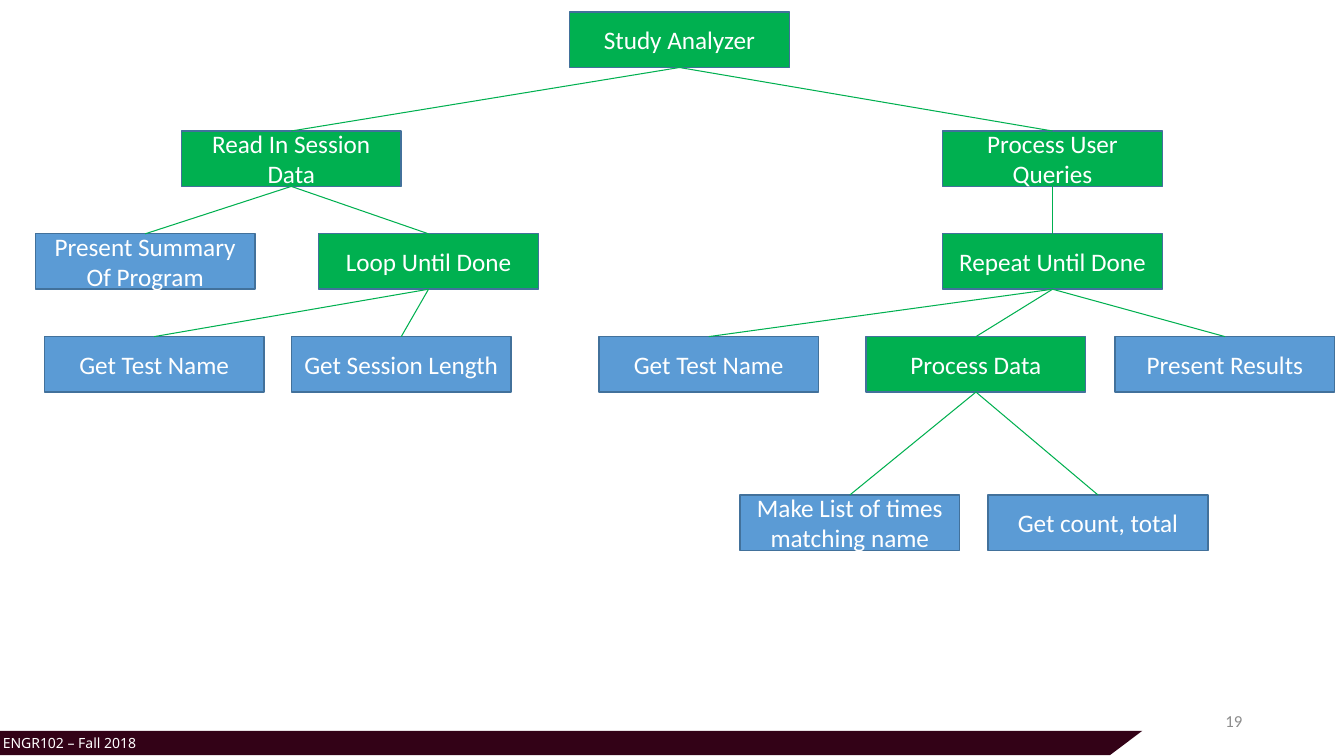
from collections import namedtuple
from lxml.etree import SubElement
from pptx import Presentation
from pptx.dml.color import RGBColor
from pptx.enum.shapes import MSO_CONNECTOR, MSO_SHAPE
from pptx.enum.text import MSO_ANCHOR, PP_ALIGN
from pptx.oxml.ns import qn
from pptx.util import Inches, Pt

GREEN = RGBColor(0x00, 0xB0, 0x50)
BLUE = RGBColor(0x5B, 0x9B, 0xD5)
EDGE = RGBColor(0x42, 0x71, 0x9B)
MAROON = RGBColor(0x33, 0x02, 0x17)
WHITE = RGBColor(0xFF, 0xFF, 0xFF)
GREY = RGBColor(0x8C, 0x8C, 0x8C)

Box = namedtuple("Box", "left top width height")
Node = namedtuple("Node", "label left children", defaults=[()])

# Task sizes and level tops, in percent of the region
TASK_WIDTH, TASK_HEIGHT = 16.35, 7.33
LEVEL_TOPS = [1.6, 17.33, 30.93, 44.53, 65.47]
BOTTOM_SITE, TOP_SITE = 2, 0

# Tasks: label, left edge in percent, subtasks
STUDY_ANALYZER = Node("Study Analyzer", 42.38, [
    Node("Read In Session Data", 13.5, [
        Node("Present Summary\nOf Program", 2.63),
        Node("Loop Until Done", 23.71, [
            Node("Get Test Name", 3.3),
            Node("Get Session Length", 21.68),
        ]),
    ]),
    Node("Process User Queries", 70.14, [
        Node("Repeat Until Done", 70.14, [
            Node("Get Test Name", 44.56),
            Node("Process Data", 64.44, [
                Node("Make List of times matching name", 55.06),
                Node("Get count, total", 73.52),
            ]),
            Node("Present Results", 82.97),
        ]),
    ]),
])


def part(box, left, top, width, height):
    """Box given in percent of another box."""
    return Box(int(box.left + box.width * left / 100),
               int(box.top + box.height * top / 100),
               int(box.width * width / 100),
               int(box.height * height / 100))


def write(frame, text, align, anchor, **font_format):
    frame.word_wrap = True
    frame.vertical_anchor = anchor
    frame.text = text
    for para in frame.paragraphs:
        para.alignment = align
        for span in para.runs:
            span.font.color.rgb = font_format["color"]
            for name in ("name", "size"):
                setattr(span.font, name, font_format[name])


def add_link(page, parent, child):
    link = page.shapes.add_connector(MSO_CONNECTOR.STRAIGHT, 0, 0, 0, 0)
    link.begin_connect(parent, BOTTOM_SITE)
    link.end_connect(child, TOP_SITE)
    link.line.color.rgb = GREEN
    link.line.width = Pt(0.75)
    SubElement(link._element.spPr, qn("a:effectLst"))


def add_tree(page, box, node, level=0):
    """Place a task and everything below it; tasks with subtasks are green."""
    place = part(box, node.left, LEVEL_TOPS[level], TASK_WIDTH, TASK_HEIGHT)
    task = page.shapes.add_shape(MSO_SHAPE.RECTANGLE, *place)
    task.shadow.inherit = False
    task.fill.solid()
    task.fill.fore_color.rgb = GREEN if node.children else BLUE
    task.line.color.rgb = EDGE
    task.line.width = Pt(1)
    write(task.text_frame, node.label, PP_ALIGN.CENTER, MSO_ANCHOR.MIDDLE,
          name="Calibri", size=Pt(18), color=WHITE)
    for child in node.children:
        add_link(page, task, add_tree(page, box, child, level + 1))
    return task


def add_footer(page, box):
    # Slanted band
    band_box = part(box, -0.15, 96.67, 85.15, 3.2)
    right, bottom = band_box.left + band_box.width, band_box.top + band_box.height
    slant = int(box.width * 0.024)
    outline = page.shapes.build_freeform(band_box.left, band_box.top)
    outline.add_line_segments([(right, band_box.top), (right - slant, bottom),
                               (band_box.left, bottom)])
    band = outline.convert_to_shape()
    band.shadow.inherit = False
    band.fill.solid()
    band.fill.fore_color.rgb = MAROON
    band.line.fill.background()

    # Course name and page number
    course = page.shapes.add_textbox(*part(box, -0.53, 96.53, 56.26, 4))
    write(course.text_frame, "ENGR102 – Fall 2018", PP_ALIGN.LEFT, MSO_ANCHOR.TOP,
          name="Noto Sans", size=Pt(10), color=WHITE)
    number = page.shapes.add_textbox(*part(box, 70.67, 92.67, 22.5, 5.33))
    write(number.text_frame, "19", PP_ALIGN.RIGHT, MSO_ANCHOR.MIDDLE,
          name="Calibri", size=Pt(12), color=GREY)


deck = Presentation()
deck.slide_width, deck.slide_height = Inches(13.33), Inches(7.5)
page = deck.slides.add_slide(deck.slide_layouts[6])
whole = Box(0, 0, deck.slide_width, deck.slide_height)
add_footer(page, whole)
add_tree(page, whole, STUDY_ANALYZER)
deck.save("out.pptx")
